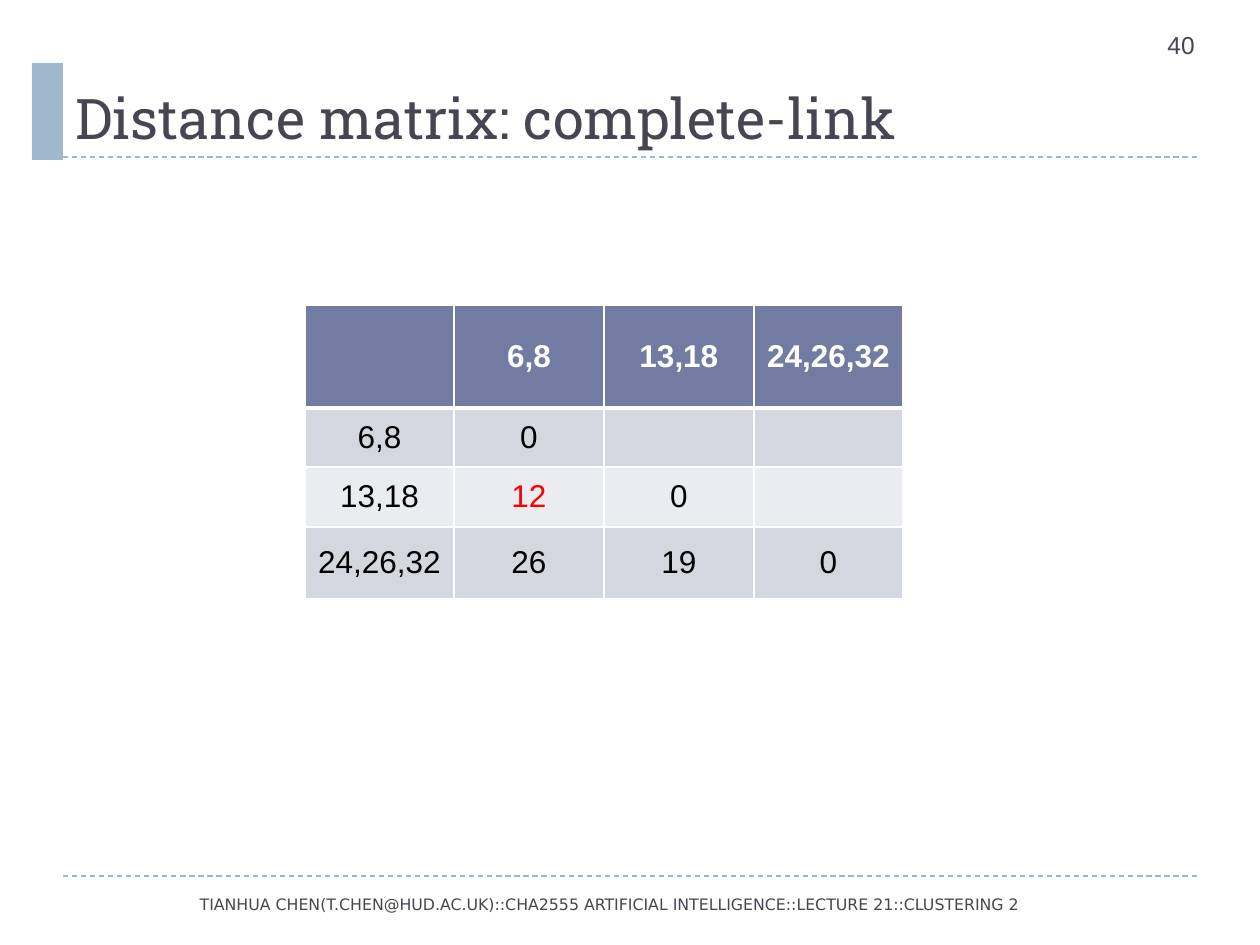
"""Build the slide with the complete-link distance matrix."""
import dataclasses
import typing

import lxml.etree
import pptx
import pptx.dml.color
import pptx.enum.dml
import pptx.enum.shapes
import pptx.enum.text
import pptx.oxml.ns
import pptx.util

EMU_PER_PX = 914400 / 126
ALIGN = pptx.enum.text.PP_ALIGN
ANCHOR = pptx.enum.text.MSO_ANCHOR
INK, ACCENT, WHITE, BLACK, RED = "464653", "9FB8CD", "FFFFFF", "000000", "FF0000"
HEADER_FILL, BAND_FILLS = "727CA3", ("D5D7E0", "EBECF0")
COLUMNS = (149, 150, 150, 149)
ROWS = (103, 59, 60, 72)
CLUSTERS = ("6,8", "13,18", "24,26,32")
DISTANCES = (("0",), ("12", "0"), ("26", "19", "0"))
SMALLEST = "12"


@dataclasses.dataclass(frozen=True)
class Box:
    left: int
    top: int
    width: int
    height: int

    def emu(self) -> list[int]:
        return [px(value) for value in dataclasses.astuple(self)]


@dataclasses.dataclass(frozen=True)
class Label:
    text: str
    size: int
    font: str = "Arial"
    color: str = INK
    bold: bool = False
    align: typing.Any = ALIGN.LEFT
    anchor: typing.Any = ANCHOR.TOP


@dataclasses.dataclass(frozen=True)
class Rule:
    left: int
    right: int
    y: int


PAGE_NUMBER = (Box(1155, 24, 105, 50), Label("40", 14))
FOOTER = (
    Box(25, 877, 1168, 55),
    Label("TIANHUA CHEN(T.CHEN@HUD.AC.UK)::CHA2555 ARTIFICIAL INTELLIGENCE::LECTURE 21::CLUSTERING 2",
          9, "DejaVu Sans", align=ALIGN.CENTER, anchor=ANCHOR.MIDDLE),
)
TITLE = (
    Box(63, 21, 1134, 136),
    Label("Distance matrix: complete-link", 32, "Roboto Slab", anchor=ANCHOR.BOTTOM),
)
RULES = (Rule(63, 1197, 876), Rule(63, 1197, 157))


def px(value: int) -> int:
    return round(value * EMU_PER_PX)


def rgb(value: str) -> pptx.dml.color.RGBColor:
    return pptx.dml.color.RGBColor.from_string(value)


def apply(target: typing.Any, values: dict[str, typing.Any]) -> None:
    for name, value in values.items():
        setattr(target, name, value)


def write(frame: typing.Any, label: Label) -> None:
    paragraph = frame.paragraphs[0]
    paragraph.alignment = label.align
    run = paragraph.add_run()
    run.text = label.text
    apply(run.font, {"name": label.font, "size": pptx.util.Pt(label.size), "bold": label.bold})
    run.font.color.rgb = rgb(label.color)


def fill_frame(frame: typing.Any, label: Label) -> None:
    apply(frame, {"word_wrap": True, "auto_size": pptx.enum.text.MSO_AUTO_SIZE.NONE,
                  "vertical_anchor": label.anchor})
    write(frame, label)


def draw_title(slide: typing.Any, box: Box, label: Label) -> None:
    title = slide.shapes.title
    apply(title, dict(zip(("left", "top", "width", "height"), box.emu())))
    fill_frame(title.text_frame, label)


def draw_label(slide: typing.Any, box: Box, label: Label) -> None:
    fill_frame(slide.shapes.add_textbox(*box.emu()).text_frame, label)


def draw_rule(slide: typing.Any, rule: Rule) -> None:
    connector = slide.shapes.add_connector(
        pptx.enum.shapes.MSO_CONNECTOR.STRAIGHT,
        px(rule.left), px(rule.y), px(rule.right), px(rule.y))
    apply(connector.line, {"width": pptx.util.Pt(0.75),
                           "dash_style": pptx.enum.dml.MSO_LINE.DASH})
    connector.line.color.rgb = rgb(ACCENT)
    properties = connector._element.spPr
    lxml.etree.SubElement(properties, pptx.oxml.ns.qn("a:effectLst"))


def draw_accent(slide: typing.Any, box: Box) -> None:
    accent = slide.shapes.add_shape(pptx.enum.shapes.MSO_SHAPE.RECTANGLE, *box.emu())
    accent.shadow.inherit = False
    accent.fill.solid()
    accent.fill.fore_color.rgb = rgb(ACCENT)
    accent.line.fill.background()


def set_borders(cell: typing.Any, widths: dict[str, int]) -> None:
    properties = cell._tc.get_or_add_tcPr()
    for position, (side, width) in enumerate(widths.items()):
        border = lxml.etree.Element(pptx.oxml.ns.qn(f"a:{side}"), w=str(pptx.util.Pt(width)))
        solid = lxml.etree.SubElement(border, pptx.oxml.ns.qn("a:solidFill"))
        lxml.etree.SubElement(solid, pptx.oxml.ns.qn("a:srgbClr"), val=WHITE)
        properties.insert(position, border)


def draw_matrix(slide: typing.Any, left: int, top: int) -> None:
    box = Box(left, top, sum(COLUMNS), sum(ROWS))
    matrix = slide.shapes.add_table(len(ROWS), len(COLUMNS), *box.emu()).table
    for column, width in zip(matrix.columns, COLUMNS):
        column.width = px(width)
    for row, height in zip(matrix.rows, ROWS):
        row.height = px(height)
    lines = [("", *CLUSTERS)]
    lines += [(name, *values) for name, values in zip(CLUSTERS, DISTANCES)]
    for r, line in enumerate(lines):
        header = r == 0
        for c in range(len(COLUMNS)):
            cell = matrix.cell(r, c)
            apply(cell, {"vertical_anchor": ANCHOR.MIDDLE,
                         "margin_left": px(6), "margin_right": px(6)})
            cell.fill.solid()
            cell.fill.fore_color.rgb = rgb(HEADER_FILL if header else BAND_FILLS[(r - 1) % 2])
            set_borders(cell, {"lnL": 1, "lnR": 1, "lnT": 3 if r == 1 else 1,
                               "lnB": 3 if header else 1})
            if c < len(line) and line[c]:
                color = WHITE if header else RED if line[c] == SMALLEST else BLACK
                write(cell.text_frame,
                      Label(line[c], 18, color=color, bold=header, align=ALIGN.CENTER))


def main() -> None:
    deck = pptx.Presentation()
    apply(deck, {"slide_width": px(1260), "slide_height": px(945)})
    slide = deck.slides.add_slide(deck.slide_layouts[5])
    for rule in RULES:
        draw_rule(slide, rule)
    draw_accent(slide, Box(32, 63, 31, 97))
    draw_title(slide, *TITLE)
    draw_matrix(slide, 305, 305)
    for box, label in (PAGE_NUMBER, FOOTER):
        draw_label(slide, box, label)
    deck.save("out.pptx")


if __name__ == "__main__":
    main()
